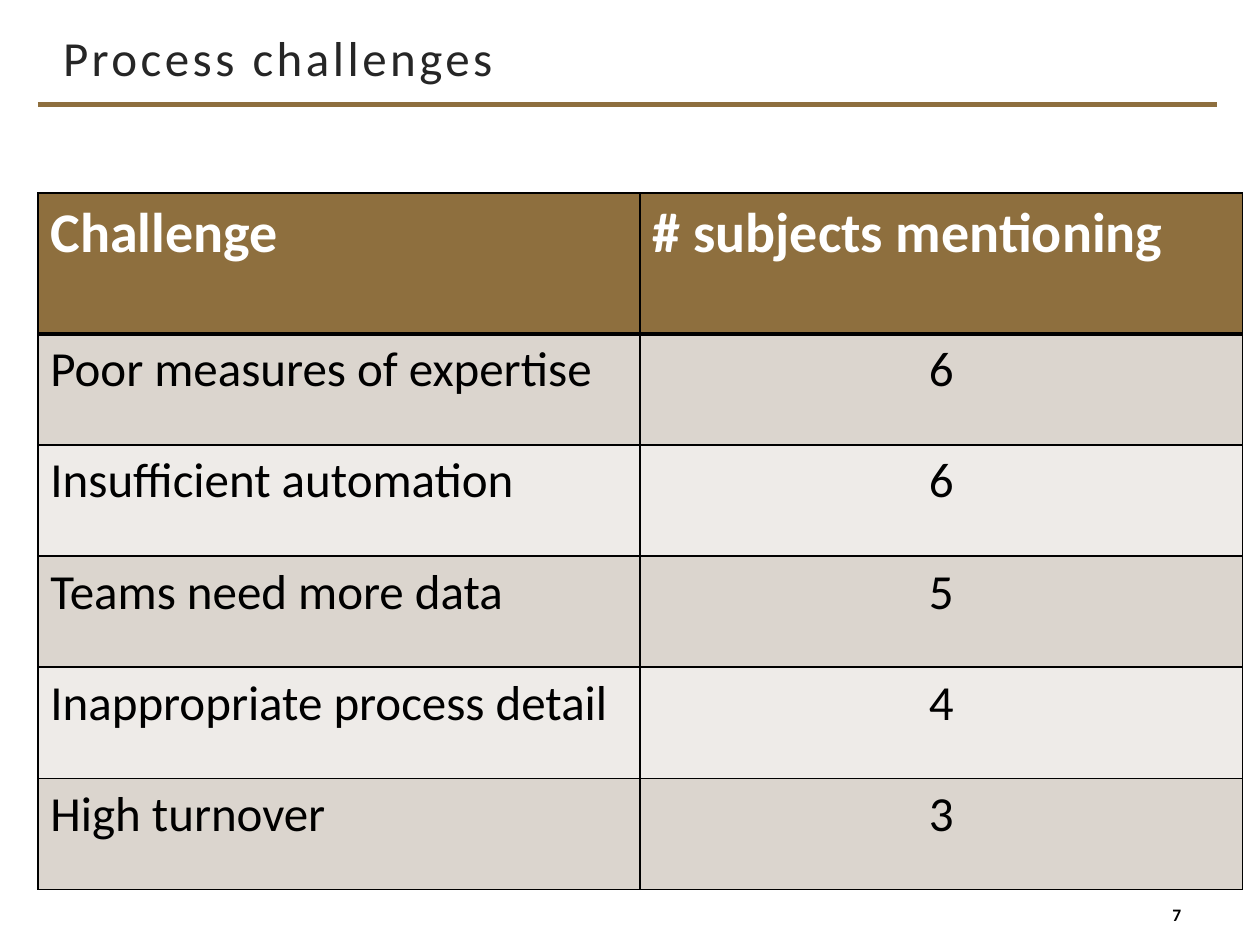
from lxml.etree import SubElement
from pptx import Presentation
from pptx.dml.color import RGBColor
from pptx.enum.shapes import MSO_CONNECTOR, MSO_SHAPE
from pptx.enum.text import MSO_ANCHOR, PP_ALIGN
from pptx.oxml.ns import qn
from pptx.util import Inches, Pt

GOLD, BLACK, WHITE = "8E6F3E", "000000", "FFFFFF"
BANDS = ("DBD5CE", "EEEBE8")
LEFT = 0.3
HEADER = ("Challenge", "# subjects mentioning")
CHALLENGES = [
    ("Poor measures of expertise", 6),
    ("Insufficient automation", 6),
    ("Teams need more data", 5),
    ("Inappropriate process detail", 4),
    ("High turnover", 3),
]


def rgb(value):
    """Turn a hex string into a colour."""
    return RGBColor.from_string(value)


def place(sp, box):
    """Move a shape to a box given in inches."""
    for name, value in zip(("left", "top", "width", "height"), box):
        setattr(sp, name, Inches(value))


def write(tf, text, size, color=BLACK, bold=False, align=PP_ALIGN.LEFT):
    """Write one formatted paragraph and return its run."""
    p = tf.paragraphs[0]
    p.alignment = align
    r = p.add_run()
    r.text = text
    for name, value in {"name": "Calibri", "size": Pt(size), "bold": bold}.items():
        setattr(r.font, name, value)
    r.font.color.rgb = rgb(color)
    return r


def set_frame(tf, x_inset, y_inset):
    """Centre a text frame vertically and set its insets in inches."""
    layout = {
        "word_wrap": True,
        "vertical_anchor": MSO_ANCHOR.MIDDLE,
        "margin_left": Inches(x_inset),
        "margin_right": Inches(x_inset),
        "margin_top": Inches(y_inset),
        "margin_bottom": Inches(y_inset),
    }
    for name, value in layout.items():
        setattr(tf, name, value)


def add_heading(slide, box):
    """Format the title and draw the rule beneath it."""
    x, y, w, h = box
    place(slide.shapes.title, (x, y, w * 0.94, h))
    tf = slide.shapes.title.text_frame
    set_frame(tf, 0.2, 0.2)
    r = write(tf, "Process challenges", 28, "262626")
    r.font._element.set("spc", "200")
    tf.paragraphs[0].line_spacing = 0.9
    rule_y = Inches(y + h)
    rule = slide.shapes.add_connector(
        MSO_CONNECTOR.STRAIGHT, Inches(x), rule_y, Inches(x + w), rule_y)
    rule.line.color.rgb = rgb(GOLD)
    rule.line.width = Pt(3)
    SubElement(rule._element.spPr, qn("a:effectLst"))


def add_page_number(slide, box):
    """Write the page number in an unfilled circle."""
    sp = slide.shapes.add_shape(MSO_SHAPE.OVAL, *map(Inches, box))
    sp.shadow.inherit = False
    sp.fill.background()
    sp.line.fill.background()
    set_frame(sp.text_frame, 0.02, 0.05)
    write(sp.text_frame, "7", 10, bold=True, align=PP_ALIGN.CENTER)


def set_borders(cell, **widths):
    """Draw black cell borders with widths in points, keyed by side."""
    tcPr = cell._tc.get_or_add_tcPr()
    for i, side in enumerate("LRTB"):
        ln = tcPr.makeelement(qn(f"a:ln{side}"), {"w": str(Pt(widths.get(side, 1)))})
        fill = SubElement(ln, qn("a:solidFill"))
        SubElement(fill, qn("a:srgbClr"), val=BLACK)
        tcPr.insert(i, ln)


def add_challenge_table(slide, box, header_height):
    """Fill a box with a header row and equal banded rows."""
    x, y, w, h = box
    rows = [HEADER, *CHALLENGES]
    table = slide.shapes.add_table(len(rows), len(HEADER), *map(Inches, box)).table
    row_height = (h - header_height) / len(CHALLENGES)
    for col in table.columns:
        col.width = Inches(w / len(HEADER))
    for i, values in enumerate(rows):
        head = i == 0
        table.rows[i].height = Inches(header_height if head else row_height)
        for j, value in enumerate(values):
            cell = table.cell(i, j)
            cell.fill.solid()
            cell.fill.fore_color.rgb = rgb(GOLD if head else BANDS[(i - 1) % 2])
            set_borders(cell, T=3 if i == 1 else 1, B=3 if head else 1)
            align = PP_ALIGN.CENTER if j and not head else PP_ALIGN.LEFT
            write(cell.text_frame, str(value), 32 if head else 28,
                  WHITE if head else BLACK, head, align)


def main():
    """Build and save the slide."""
    prs = Presentation()
    prs.slide_width, prs.slide_height = Inches(10), Inches(7.5)
    slide = prs.slides.add_slide(prs.slide_layouts[5])
    add_heading(slide, (LEFT, 0.13, 9.36, 0.7))
    add_page_number(slide, (9.14, 7.06, 0.4, 0.4))
    add_challenge_table(slide, (LEFT, 1.53, 9.56, 5.53), 1.12)
    prs.save("out.pptx")


if __name__ == "__main__":
    main()
